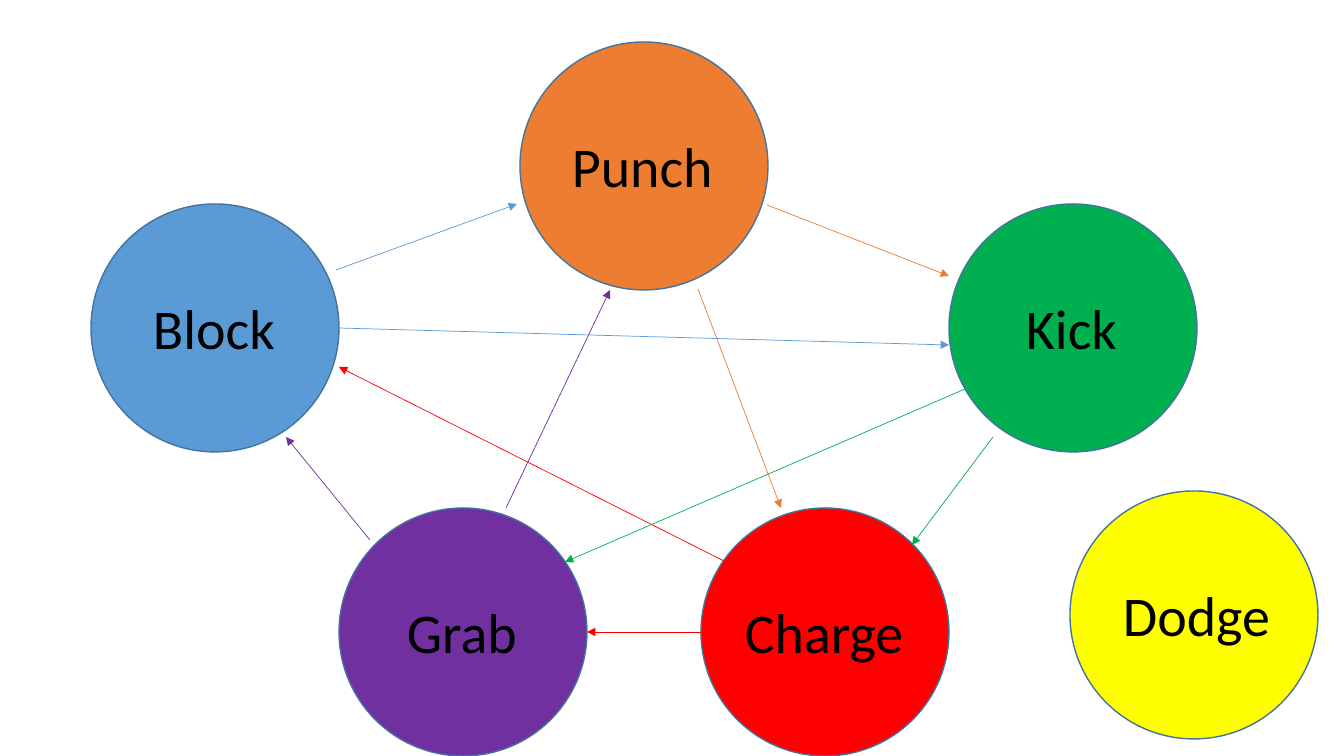
from lxml.etree import SubElement
from pptx import Presentation
from pptx.dml.color import RGBColor
from pptx.enum.shapes import MSO_CONNECTOR, MSO_SHAPE
from pptx.enum.text import MSO_AUTO_SIZE
from pptx.oxml.ns import qn
from pptx.util import Emu, Pt

SLIDE_WIDTH, SLIDE_HEIGHT = 1344, 756
SCALE = 12192000 / SLIDE_WIDTH
DIAMETER = 248
LABEL_DROP, LABEL_HEIGHT = 85, 78
OUTLINE = "43739E"

# Move: colour, circle left and top, label left and width
MOVES = {
    "Punch": ("ED7D31", 520, 42, 562, 162),
    "Kick": ("00B050", 949, 204, 1016, 112),
    "Block": ("5B9BD5", 91, 204, 143, 143),
    "Grab": ("7030A0", 339, 508, 397, 131),
    "Charge": ("FF0000", 701, 508, 735, 180),
    "Dodge": ("FFFF00", 1070, 491, 1113, 169),
}

# Winning move, arrow start, arrow end
ARROWS = [
    ("Punch", (767, 205), (949, 276)),
    ("Punch", (698, 289), (781, 508)),
    ("Kick", (993, 437), (912, 545)),
    ("Kick", (965, 389), (565, 562)),
    ("Charge", (701, 632), (587, 632)),
    ("Charge", (724, 561), (339, 367)),
    ("Grab", (370, 540), (286, 437)),
    ("Grab", (506, 508), (610, 290)),
    ("Block", (336, 270), (517, 204)),
    ("Block", (339, 328), (949, 345)),
]


def px(*lengths):
    return [Emu(round(length * SCALE)) for length in lengths]


def color(value):
    return RGBColor.from_string(value)


def add_circle(slide, fill, left, top):
    circle = slide.shapes.add_shape(MSO_SHAPE.OVAL, *px(left, top, DIAMETER, DIAMETER))
    circle.shadow.inherit = False
    circle.fill.solid()
    circle.fill.fore_color.rgb = color(fill)
    circle.line.color.rgb = color(OUTLINE)
    circle.line.width = Pt(1)


def add_label(slide, text, left, top, width):
    box = slide.shapes.add_textbox(*px(left, top, width, LABEL_HEIGHT))
    box.text_frame.word_wrap = False
    box.text_frame.auto_size = MSO_AUTO_SIZE.SHAPE_TO_FIT_TEXT
    para = box.text_frame.paragraphs[0]
    span = para.add_run()
    span.text = text
    span.font.name = "Calibri"
    span.font.size = Pt(40)
    span.font.color.rgb = color("000000")


def add_arrow(slide, stroke, start, end):
    arrow = slide.shapes.add_connector(MSO_CONNECTOR.STRAIGHT, *px(*start, *end))
    arrow.line.color.rgb = color(stroke)
    arrow.line.width = Pt(0.5)
    SubElement(arrow.line._get_or_add_ln(), qn("a:tailEnd"), type="triangle")
    SubElement(arrow._element.spPr, qn("a:effectLst"))


def main():
    deck = Presentation()
    deck.slide_width, deck.slide_height = px(SLIDE_WIDTH, SLIDE_HEIGHT)
    slide = deck.slides.add_slide(deck.slide_layouts[6])

    # Moves
    for name, (fill, left, top, label_left, label_width) in MOVES.items():
        add_circle(slide, fill, left, top)
        add_label(slide, name, label_left, top + LABEL_DROP, label_width)

    # Which move beats which
    for winner, start, end in ARROWS:
        add_arrow(slide, MOVES[winner][0], start, end)

    deck.save("out.pptx")


main()
